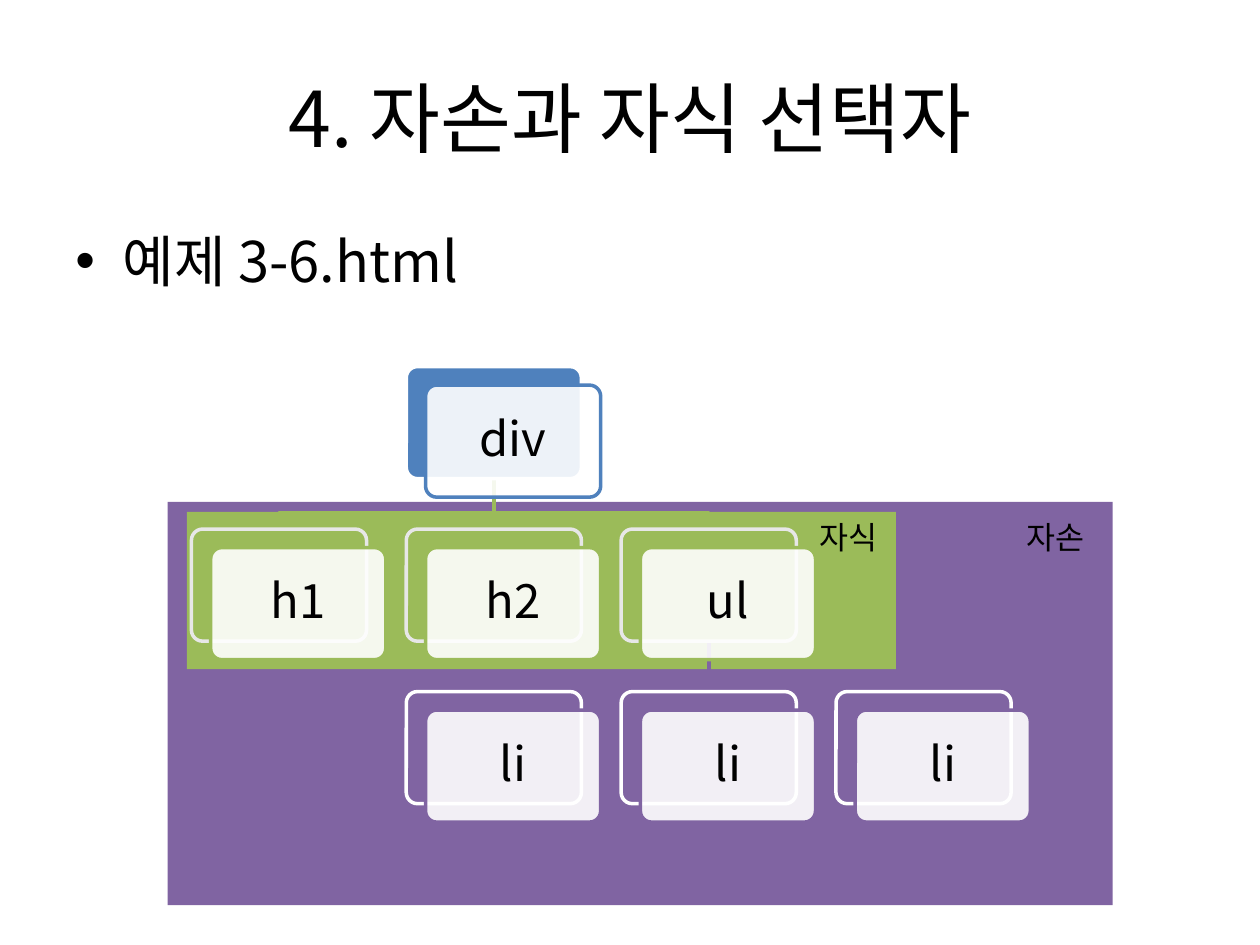
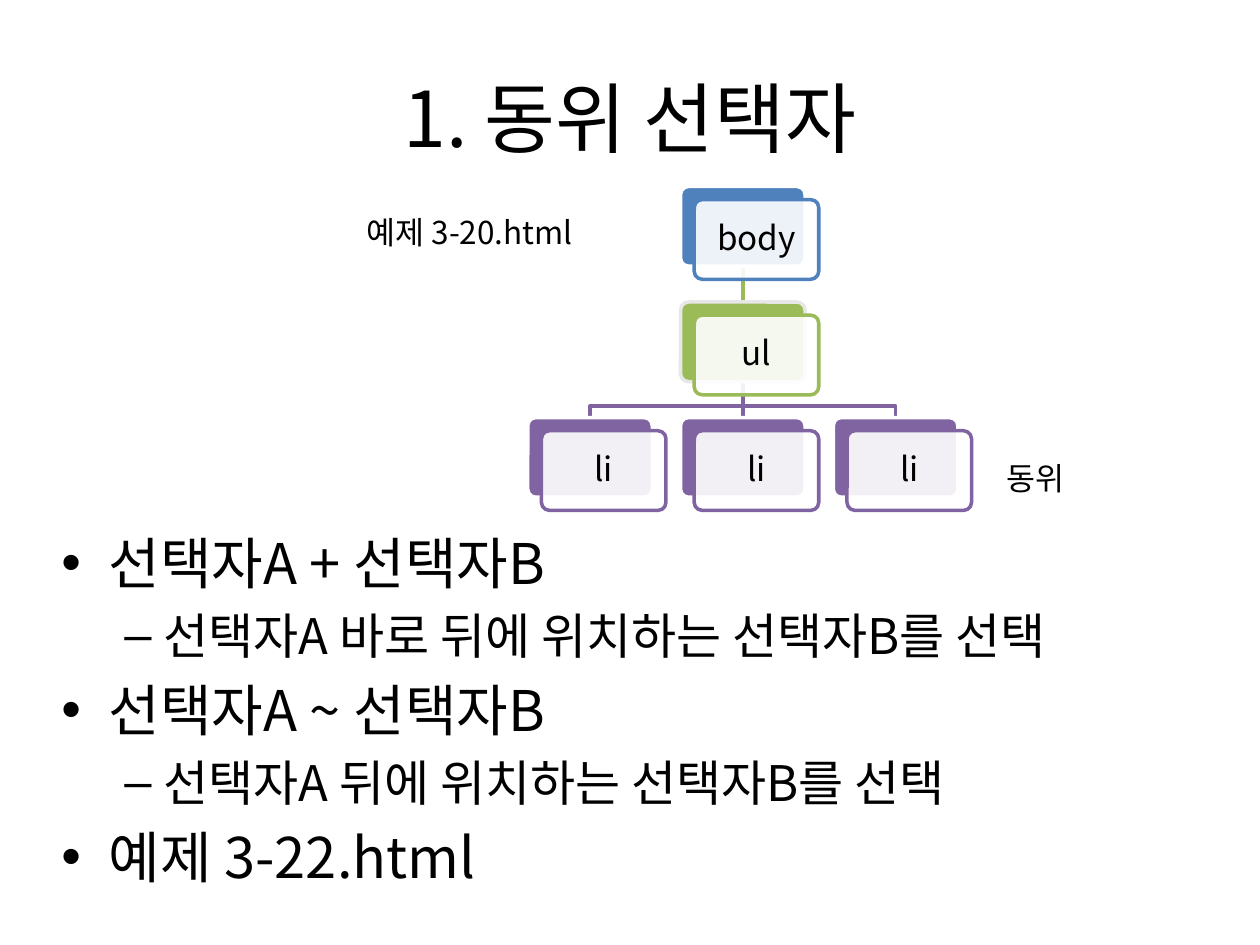
from lxml.etree import SubElement
from pptx import Presentation
from pptx.dml.color import RGBColor
from pptx.enum.shapes import MSO_CONNECTOR, MSO_SHAPE
from pptx.enum.text import MSO_ANCHOR, PP_ALIGN
from pptx.oxml.ns import qn
from pptx.util import Cm, Pt

FONT = "Noto Sans CJK KR"
COLORS = {
    "ink": "000000",
    "paper": "FFFFFF",
    "mist": "E7E7E7",
    "blue": "4F81BD",
    "green": "9BBB59",
    "purple": "8064A2",
}
LEVELS = [("blue", "paper"), ("green", "mist"), ("purple", "paper")]
BULLETS = [("•", 32, 0.95, 0.95), ("–", 28, 2.06, 0.79)]
LINE_WIDTH = Pt(2)


def rgb(name):
    return RGBColor.from_string(COLORS[name])


def add_run(paragraph, text, size):
    run = paragraph.add_run()
    run.text = text
    run.font.name = FONT
    run.font.size = Pt(size)
    run.font.color.rgb = rgb("ink")
    SubElement(run._r.get_or_add_rPr(), qn("a:ea"), typeface=FONT)


def paint(shape, fill=None, edge=None):
    shape.shadow.inherit = False
    if fill:
        shape.fill.solid()
        shape.fill.fore_color.rgb = rgb(fill)
    else:
        shape.fill.background()
    if edge:
        shape.line.color.rgb = rgb(edge)
        shape.line.width = LINE_WIDTH
    else:
        shape.line.fill.background()


def add_title(slide, text):
    title = slide.shapes.title
    title.left, title.top, title.width, title.height = Cm(1.27), Cm(0.76), Cm(22.86), Cm(3.18)
    title.text_frame.vertical_anchor = MSO_ANCHOR.MIDDLE
    paragraph = title.text_frame.paragraphs[0]
    paragraph.alignment = PP_ALIGN.CENTER
    add_run(paragraph, text, 44)


def add_bullets(slide, left, top, width, height, items):
    frame = slide.shapes.add_textbox(Cm(left), Cm(top), Cm(width), Cm(height)).text_frame
    frame.word_wrap = True
    for index, (level, text) in enumerate(items):
        mark, size, margin, hanging = BULLETS[level]
        paragraph = frame.add_paragraph() if index else frame.paragraphs[0]
        paragraph.level = level
        paragraph.space_before = Pt(size * 0.2)
        properties = paragraph._p.get_or_add_pPr()
        properties.set("marL", str(Cm(margin)))
        properties.set("indent", str(-Cm(hanging)))
        SubElement(properties, qn("a:buFont"), typeface="Arial")
        SubElement(properties, qn("a:buChar"), char=mark)
        add_run(paragraph, text, size)


def add_label(slide, left, top, width, text):
    frame = slide.shapes.add_textbox(Cm(left), Cm(top), Cm(width), Cm(1.03)).text_frame
    frame.word_wrap = True
    add_run(frame.paragraphs[0], text, 18)


def add_region(slide, left, top, width, height, color):
    region = slide.shapes.add_shape(
        MSO_SHAPE.RECTANGLE, Cm(left), Cm(top), Cm(width), Cm(height))
    paint(region, color)


def add_link(slide, start_x, start_y, end_x, end_y, color):
    if start_x == end_x:
        link = slide.shapes.add_connector(
            MSO_CONNECTOR.STRAIGHT, Cm(start_x), Cm(start_y), Cm(end_x), Cm(end_y))
        link.line.color.rgb = rgb(color)
        link.line.width = LINE_WIDTH
        SubElement(link._element.spPr, qn("a:effectLst"))
        return
    bend_y = start_y + (end_y - start_y) * 0.68
    outline = slide.shapes.build_freeform(Cm(start_x), Cm(start_y))
    bends = [(start_x, bend_y), (end_x, bend_y), (end_x, end_y)]
    outline.add_line_segments([(Cm(x), Cm(y)) for x, y in bends], close=False)
    paint(outline.convert_to_shape(), edge=color)


def add_card(slide, left, top, width, height, text, size, color, edge):
    shift = width * 0.11
    back, face = [
        slide.shapes.add_shape(
            MSO_SHAPE.ROUNDED_RECTANGLE, Cm(left + gap), Cm(top + gap * 0.96),
            Cm(width), Cm(height))
        for gap in (0, shift)
    ]
    for sheet in (back, face):
        sheet.adjustments[0] = 0.1
    paint(back, color, edge)
    paint(face, "paper", color)
    tint = face._element.spPr.find(qn("a:solidFill"))[0]
    SubElement(tint, qn("a:alpha"), val="90000")

    frame = face.text_frame
    frame.word_wrap = True
    frame.vertical_anchor = MSO_ANCHOR.MIDDLE
    frame.margin_left = frame.margin_right = Cm(width * 0.08)
    frame.margin_top = frame.margin_bottom = Cm(width * 0.08)
    paragraph = frame.paragraphs[0]
    paragraph.alignment = PP_ALIGN.CENTER
    paragraph.line_spacing = 0.9
    add_run(paragraph, text, size)


def add_tree(slide, left, top, card_width, size, generations):
    card_height = card_width * 0.64
    column_step, row_step = card_width * 1.227, card_width * 0.928
    cards = []
    for row, (parent, tags) in enumerate(generations):
        color, edge = LEVELS[row]
        card_top = top + row * row_step
        parent_x = left + parent * column_step + card_width / 2
        for column, tag in enumerate(tags, parent - len(tags) // 2):
            card_left = left + column * column_step
            cards.append((card_left, card_top, card_width, card_height, tag, size, color, edge))
            if row:
                end_x = parent_x if column == parent else card_left + card_width / 2
                add_link(slide, parent_x, card_top - row_step + card_height,
                         end_x, card_top, color)
    for card in cards:
        add_card(slide, *card)


def build_descendants(slide):
    add_title(slide, "4. 자손과 자식 선택자")
    add_bullets(slide, 1.27, 4.45, 22.86, 4, [(0, "예제 3-6.html")])
    add_region(slide, 3.38, 10.12, 19.05, 8.13, "purple")
    add_region(slide, 3.77, 10.32, 14.29, 3.17, "green")
    add_label(slide, 20.45, 10.32, 1.98, "자손")
    add_label(slide, 16.27, 10.32, 2.18, "자식")
    add_tree(slide, 3.86, 7.39, 3.53, 27,
             [(1, ["div"]), (1, ["h1", "h2", "ul"]), (2, ["li"] * 3)])


def build_siblings(slide):
    add_title(slide, "1. 동위 선택자")
    add_bullets(slide, 0.99, 10.52, 22.86, 8.05, [
        (0, "선택자A + 선택자B"),
        (1, "선택자A 바로 뒤에 위치하는 선택자B를 선택"),
        (0, "선택자A ~ 선택자B"),
        (1, "선택자A 뒤에 위치하는 선택자B를 선택"),
        (0, "예제 3-22.html"),
    ])
    add_tree(slide, 10.64, 3.76, 2.51, 19,
             [(1, ["body"]), (1, ["ul"]), (1, ["li"] * 3)])
    add_label(slide, 7.14, 4.17, 4.7, "예제 3-20.html")
    add_label(slide, 20.04, 9.12, 1.8, "동위")


def main():
    deck = Presentation()
    deck.slide_width, deck.slide_height = Cm(25.4), Cm(19.05)
    title_only = deck.slide_layouts.get_by_name("Title Only")
    for build in (build_descendants, build_siblings):
        build(deck.slides.add_slide(title_only))
    deck.save("out.pptx")


if __name__ == "__main__":
    main()
